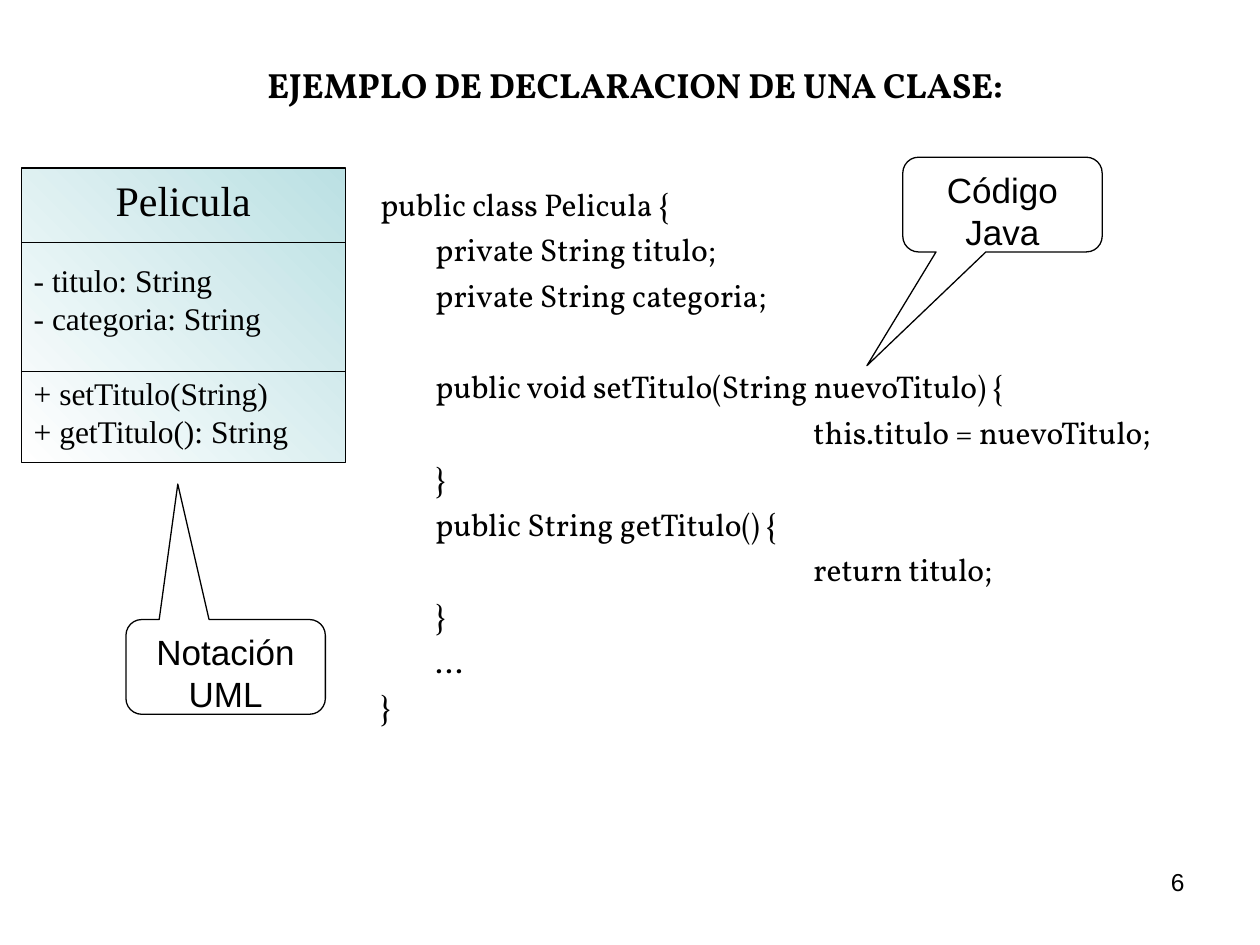
from lxml.etree import SubElement
from pptx import Presentation
from pptx.dml.color import RGBColor
from pptx.enum.shapes import MSO_CONNECTOR as Link, MSO_SHAPE as Shape
from pptx.enum.text import MSO_ANCHOR as Anchor, PP_ALIGN as Align
from pptx.oxml.ns import qn
from pptx.util import Cm, Pt

BLACK = RGBColor(0x00, 0x00, 0x00)
WHITE = RGBColor(0xFF, 0xFF, 0xFF)
AQUA = RGBColor(0xBB, 0xE0, 0xE3)

# Content; boxes are left, top, width, height in cm
TITLE = "EJEMPLO DE DECLARACION DE UNA CLASE:"
TITLE_BOX = (0.64, 0.85, 24.34, 1.69)

# Indent level, space before in points, code line
CODE = [
    (0, 0, "public class Pelicula {"),
    (1, 4.5, "private String titulo;"),
    (1, 4.5, "private String categoria;"),
    (1, 30.6, "public void setTitulo(String nuevoTitulo) {"),
    (2, 4.5, "this.titulo = nuevoTitulo;"),
    (1, 4.5, "}"),
    (1, 4.5, "public String getTitulo() {"),
    (2, 4.5, "return titulo;"),
    (1, 4.5, "}"),
    (1, 4.5, "..."),
    (0, 4.5, "}"),
]
CODE_BOX = (7.42, 3.6, 16.51, 11.15)
CODE_INDENTS = (0, 1.11, 8.73)

# Text, left, top, pointer x and y as shares of the size
CALLOUTS = [
    ("Notación UML", 2.54, 12.49, (-0.24, -1.93)),
    ("Código Java", 18.2, 3.17, (-0.68, 1.7)),
]
CALLOUT_SIZE = (4.02, 1.91)

CLASS_NAME = "Pelicula"
CLASS_SECTIONS = [
    ["- titulo: String", "- categoria: String"],
    ["+ setTitulo(String)", "+ getTitulo(): String"],
]
CLASS_BOX = (0.43, 3.39, 6.53, 5.93)
DIVIDERS = (4.89, 7.49)
SECTION_GAP = 21

PAGE = "6"
PAGE_BOX = (18.2, 17.36, 5.93, 1.32)

TITLE_FONT = {"name": "Vollkorn", "size": Pt(20), "bold": True}
CODE_FONT = {"name": "Vollkorn", "size": Pt(18)}
CALLOUT_FONT = {"name": "Arial", "size": Pt(20)}
CLASS_FONT = {"name": "Times New Roman", "size": Pt(24)}
MEMBER_FONT = {"name": "Times New Roman", "size": Pt(18)}
PAGE_FONT = {"name": "Arial", "size": Pt(14)}


def lengths(values):
    return [Cm(value) for value in values]


def write(frame, lines, anchor=Anchor.TOP):
    """Fill a frame with (text, font, alignment, space before, indent)."""
    frame.word_wrap = True
    frame.vertical_anchor = anchor
    for number, (text, font, align, before, indent) in enumerate(lines):
        line = frame.add_paragraph() if number else frame.paragraphs[0]
        line.text = text
        line.alignment = align
        if before:
            line.space_before = Pt(before)
        if indent:
            line._p.get_or_add_pPr().set("marL", str(Cm(indent)))
        run_font = line.runs[0].font
        for attribute, value in font.items():
            setattr(run_font, attribute, value)
        run_font.color.rgb = BLACK


def outline(shape):
    shape.line.color.rgb = BLACK
    shape.line.width = Pt(0.75)


prs = Presentation()
prs.slide_width, prs.slide_height = Cm(25.4), Cm(19.05)
slide = prs.slides.add_slide(prs.slide_layouts[6])
shapes = slide.shapes

# Title and Java code
title = shapes.add_textbox(*lengths(TITLE_BOX))
write(title.text_frame, [(TITLE, TITLE_FONT, Align.CENTER, 0, 0)], Anchor.MIDDLE)

code = shapes.add_textbox(*lengths(CODE_BOX))
write(code.text_frame, [(text, CODE_FONT, Align.LEFT, before, CODE_INDENTS[level])
                        for level, before, text in CODE])

# Callouts
for label, left, top, pointer in CALLOUTS:
    callout = shapes.add_shape(Shape.ROUNDED_RECTANGULAR_CALLOUT,
                               *lengths((left, top, *CALLOUT_SIZE)))
    callout.shadow.inherit = False
    callout.fill.background()
    outline(callout)
    for number, share in enumerate(pointer):
        callout.adjustments[number] = share
    write(callout.text_frame, [(label, CALLOUT_FONT, Align.CENTER, 0, 0)])

# UML class: box and dividers
uml = shapes.add_group_shape().shapes
class_box = uml.add_shape(Shape.RECTANGLE, *lengths(CLASS_BOX))
class_box.shadow.inherit = False
class_box.fill.gradient()
class_box.fill.gradient_angle = 225
for stop, color in zip(class_box.fill.gradient_stops, (AQUA, WHITE)):
    stop.color.rgb = color
outline(class_box)

members = [(CLASS_NAME, CLASS_FONT, Align.CENTER, 0, 0)]
for section in CLASS_SECTIONS:
    for number, member in enumerate(section):
        gap = 0 if number else SECTION_GAP
        members.append((member, MEMBER_FONT, Align.LEFT, gap, 0))
write(class_box.text_frame, members)

left, _, width, _ = CLASS_BOX
for y in DIVIDERS:
    divider = uml.add_connector(Link.STRAIGHT, *lengths((left, y, left + width, y)))
    outline(divider)
    SubElement(divider._element.spPr, qn("a:effectLst"))

# Page number
page = shapes.add_textbox(*lengths(PAGE_BOX))
write(page.text_frame, [(PAGE, PAGE_FONT, Align.RIGHT, 0, 0)])

prs.save("out.pptx")
